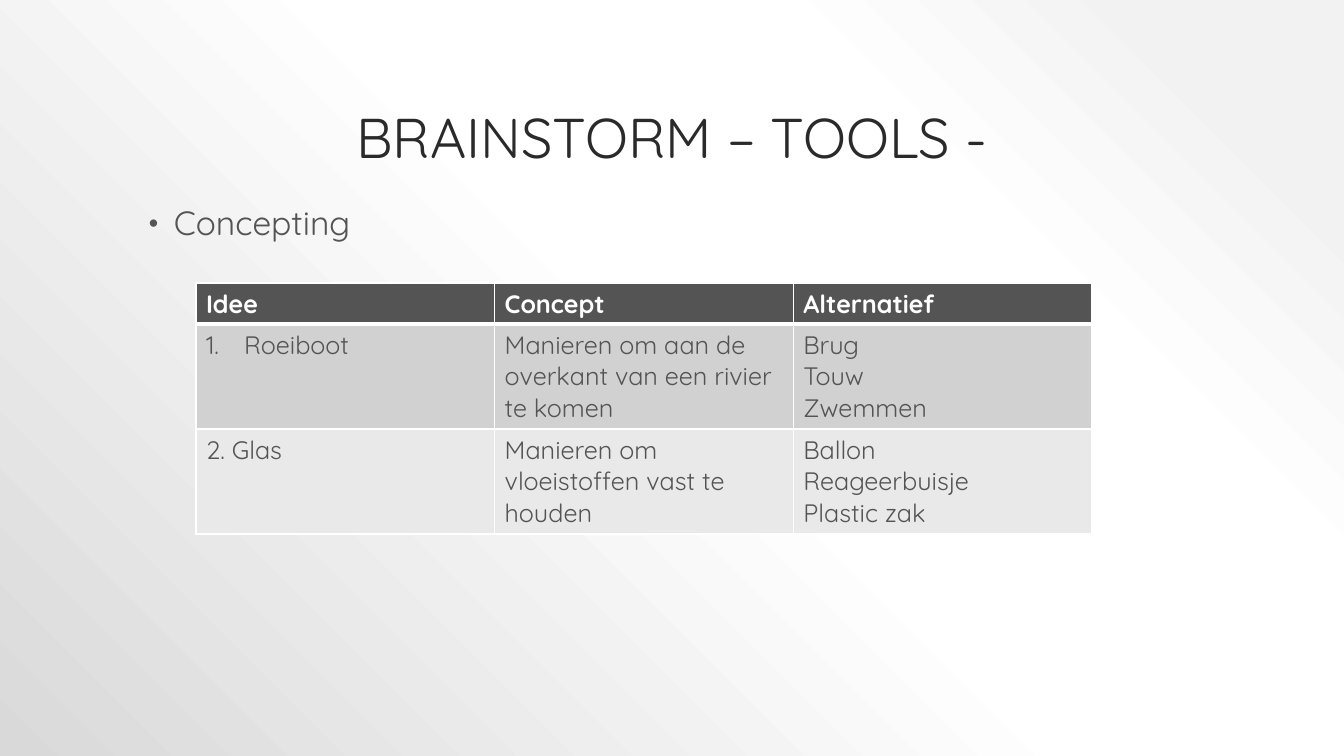
from lxml.etree import SubElement
from pptx import Presentation
from pptx.dml.color import RGBColor
from pptx.enum.text import MSO_ANCHOR, PP_ALIGN
from pptx.oxml import parse_xml
from pptx.oxml.ns import nsdecls, qn
from pptx.util import Pt

SLIDE_WIDTH, SLIDE_HEIGHT = 1344, 756
EMU_PER_PX = 12192000 / SLIDE_WIDTH
FONT = "Quicksand"
TITLE_INK, INK, WHITE = "2A2A2A", "545454", "FFFFFF"
ROW_FILLS = [INK, "D1D1D1", "E9E9E9"]
ROW_HEIGHTS = [41, 105, 105]
BACKDROP_STOPS = [(10, "F2F2F2"), (28, WHITE), (48, WHITE), (100, "D9D9D9")]
IDEAS = [
    ["Idee", "Concept", "Alternatief"],
    ["Roeiboot", "Manieren om aan de overkant van een rivier te komen",
     "Brug\nTouw\nZwemmen"],
    ["2. Glas", "Manieren om vloeistoffen vast te houden",
     "Ballon\nReageerbuisje\nPlastic zak"],
]


def px(length):
    return round(length * EMU_PER_PX)


def color(hex_string):
    return RGBColor.from_string(hex_string)


class SlideBuilder:
    def __init__(self, presentation):
        self.slide = presentation.slides.add_slide(presentation.slide_layouts[6])

    def backdrop(self, stops):
        """Fill the background with rings that spread from the top right corner."""
        self.slide.background.fill.gradient()
        plain_gradient = self.slide.element.find(".//" + qn("a:gradFill"))
        stop_xml = "".join(
            f'<a:gs pos="{percent * 1000}"><a:srgbClr val="{shade}"/></a:gs>'
            for percent, shade in stops)
        rings = parse_xml(
            f'<a:gradFill {nsdecls("a")} rotWithShape="1"><a:gsLst>{stop_xml}</a:gsLst>'
            '<a:path path="circle"><a:fillToRect l="100000" b="100000"/></a:path>'
            '</a:gradFill>')
        plain_gradient.getparent().replace(plain_gradient, rings)

    def style(self, frame, size, ink, bold=False):
        for paragraph in frame.paragraphs:
            for run in paragraph.runs:
                run.font.name = FONT
                run.font.size = Pt(size)
                run.font.bold = bold
                run.font.color.rgb = color(ink)

    def text(self, wording, left, top, width, height, size, ink, anchor=MSO_ANCHOR.TOP):
        box = self.slide.shapes.add_textbox(px(left), px(top), px(width), px(height))
        frame = box.text_frame
        frame.word_wrap = True
        frame.vertical_anchor = anchor
        frame.text = wording
        frame.paragraphs[0].line_spacing = 0.9
        self.style(frame, size, ink)
        return frame.paragraphs[0]

    def hang(self, paragraph, margin, indent):
        """Set a hanging indent and return the properties that take the bullet."""
        properties = paragraph._p.get_or_add_pPr()
        properties.set("marL", str(px(margin)))
        properties.set("indent", str(-px(indent)))
        return properties

    def bullet(self, paragraph, margin, indent, ink, percent):
        properties = self.hang(paragraph, margin, indent)
        bullet_color = SubElement(properties, qn("a:buClr"))
        SubElement(bullet_color, qn("a:srgbClr"), val=ink)
        SubElement(properties, qn("a:buSzPct"), val=str(percent * 1000))
        SubElement(properties, qn("a:buFont"), typeface="Arial")
        SubElement(properties, qn("a:buChar"), char="•")

    def number(self, paragraph, indent):
        properties = self.hang(paragraph, indent, indent)
        SubElement(properties, qn("a:buFont"), typeface="+mj-lt")
        SubElement(properties, qn("a:buAutoNum"), type="arabicPeriod")

    def borders(self, cell, top, bottom):
        """Draw white cell edges; top and bottom are widths in points."""
        properties = cell._tc.get_or_add_tcPr()
        edges = [("L", 1), ("R", 1), ("T", top), ("B", bottom)]
        for position, (edge, width) in enumerate(edges):
            properties.insert(position, parse_xml(
                f'<a:ln{edge} {nsdecls("a")} w="{Pt(width)}"><a:solidFill>'
                f'<a:srgbClr val="{WHITE}"/></a:solidFill></a:ln{edge}>'))

    def table(self, rows, left, top, width, heights, fills):
        grid = self.slide.shapes.add_table(
            len(rows), len(rows[0]), px(left), px(top), px(width), px(sum(heights))).table
        for row_index, wordings in enumerate(rows):
            is_header = row_index == 0
            grid.rows[row_index].height = px(heights[row_index])
            for column_index, wording in enumerate(wordings):
                cell = grid.cell(row_index, column_index)
                cell.text_frame.text = wording
                self.style(cell.text_frame, 18, WHITE if is_header else INK, is_header)
                cell.fill.solid()
                cell.fill.fore_color.rgb = color(fills[row_index])
                self.borders(cell, top=3 if row_index == 1 else 1,
                             bottom=3 if is_header else 1)
        return grid


def main():
    presentation = Presentation()
    presentation.slide_width = px(SLIDE_WIDTH)
    presentation.slide_height = px(SLIDE_HEIGHT)
    builder = SlideBuilder(presentation)
    builder.backdrop(BACKDROP_STOPS)

    title = builder.text("BRAINSTORM – TOOLS -", 134, 30, 1076, 146, 40, TITLE_INK,
                         MSO_ANCHOR.BOTTOM)
    title.alignment = PP_ALIGN.CENTER

    topic = builder.text("Concepting", 134, 202, 1076, 479, 24, INK)
    topic.space_before = Pt(18)
    builder.bullet(topic, 30, 25, INK, 80)

    ideas = builder.table(IDEAS, 196, 283, 896, ROW_HEIGHTS, ROW_FILLS)
    builder.number(ideas.cell(1, 0).text_frame.paragraphs[0], 38)

    presentation.save("out.pptx")


if __name__ == "__main__":
    main()
